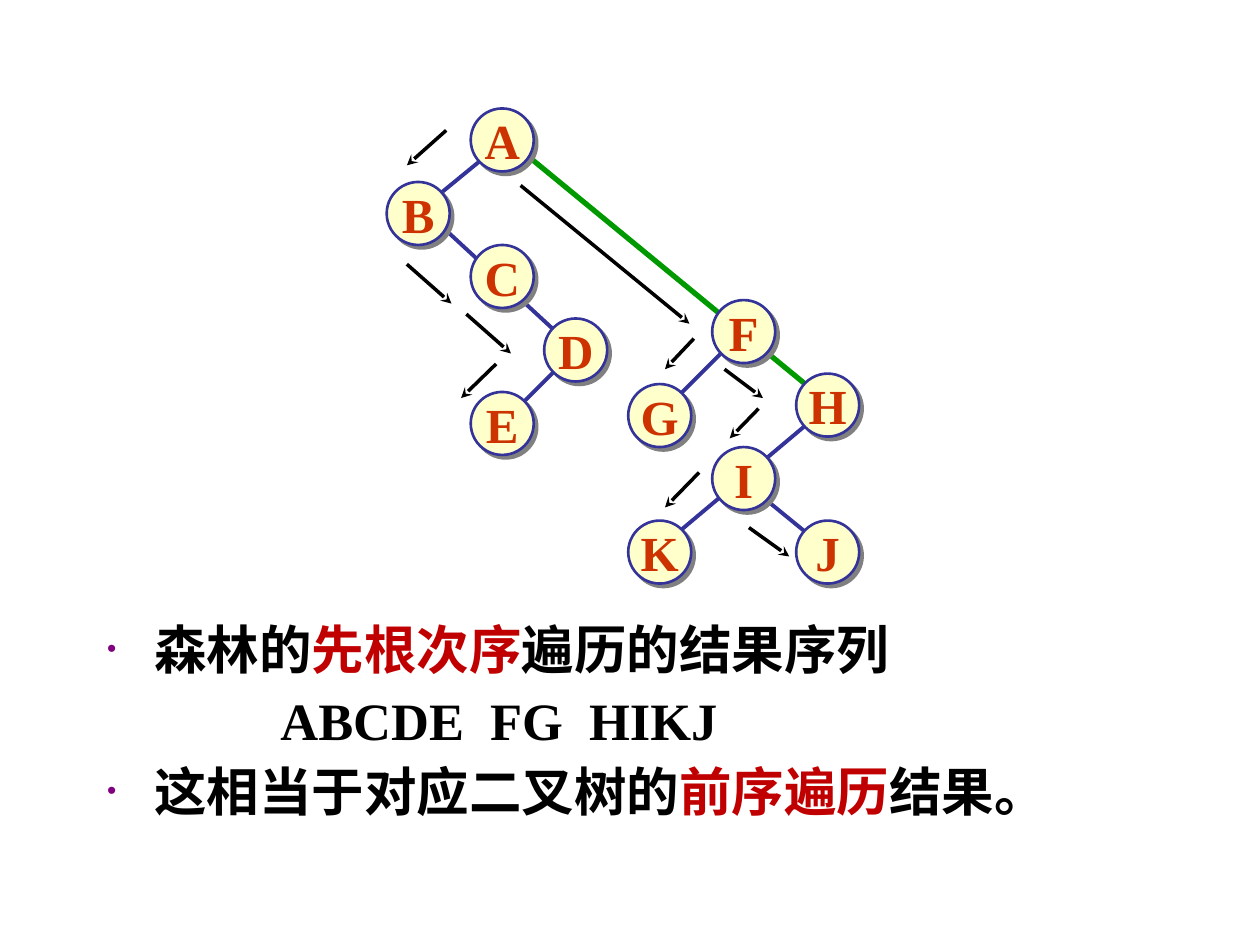
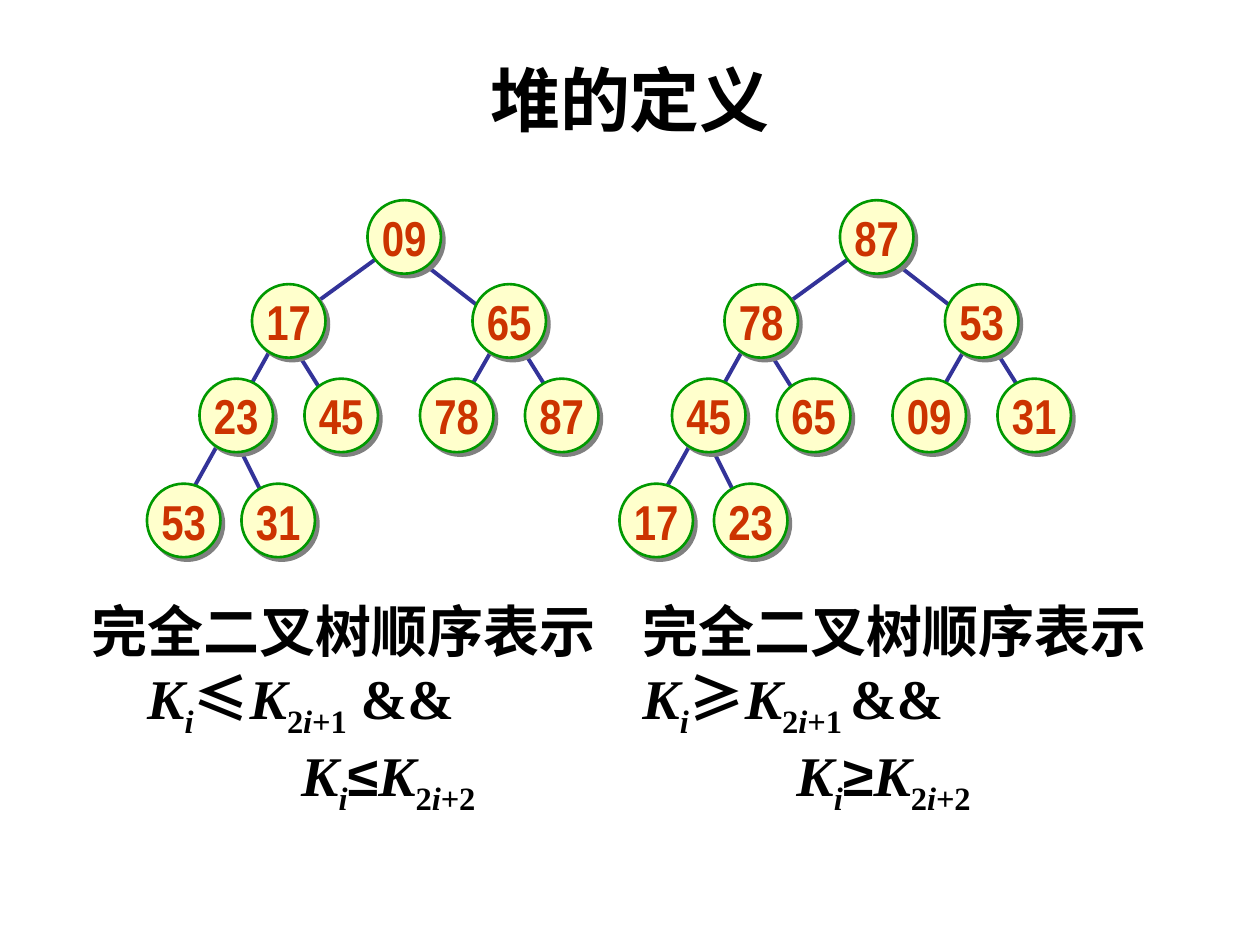
"""Build two slides on forest traversal and the definition of a heap."""
from lxml.etree import SubElement as Sub
from pptx import Presentation
from pptx.dml.color import RGBColor
from pptx.enum.shapes import MSO_CONNECTOR as Conn, MSO_SHAPE as Shape
from pptx.enum.text import MSO_ANCHOR as Anchor, MSO_AUTO_SIZE as Auto, PP_ALIGN as Align
from pptx.oxml.ns import qn
from pptx.util import Pt

rgb = RGBColor.from_string
BLACK, BLUE, GREEN = "000000", "333399", "009900"
CREAM, RUST, RED, GRAY, PLUM = "FFFFCC", "CC3300", "C00000", "808080", "800080"
SERIF, SANS, SLIM, CJK = "Times New Roman", "Arial", "Arial Narrow", "Noto Sans CJK SC"


def link(slide, ends, color=BLUE, width=2.25, head=False):
    """Draw a straight line, with an arrowhead if asked."""
    line = slide.shapes.add_connector(Conn.STRAIGHT, *map(Pt, ends))
    line.line.color.rgb = rgb(color)
    line.line.width = Pt(width)
    if head:
        Sub(line.line._get_or_add_ln(), qn("a:tailEnd"), type="stealth")
    Sub(line._element.spPr, qn("a:effectLst"))


def node(slide, x, y, size, text, font, edge):
    """Draw a labelled circle with a hard shadow."""
    dot = slide.shapes.add_shape(Shape.OVAL, Pt(x), Pt(y), Pt(size), Pt(size))
    dot.fill.solid()
    dot.fill.fore_color.rgb = rgb(CREAM)
    dot.line.color.rgb = rgb(edge)
    dot.line.width = Pt(1.5)
    dot.shadow.inherit = False
    shade = Sub(dot._element.spPr.find(qn("a:effectLst")), qn("a:outerShdw"),
                dist=str(Pt(2.8)), dir="2700000", algn="ctr", rotWithShape="0")
    Sub(shade, qn("a:srgbClr"), val=GRAY)
    frame = dot.text_frame
    frame.margin_left = frame.margin_right = frame.margin_top = frame.margin_bottom = 0
    frame.word_wrap = False
    frame.vertical_anchor = Anchor.MIDDLE
    para = frame.paragraphs[0]
    para.text = text
    para.alignment = Align.CENTER
    para.font.name, para.font.size, para.font.bold = font, Pt(28), True
    para.font.color.rgb = rgb(RUST)


prs = Presentation()
prs.slide_width, prs.slide_height = Pt(720), Pt(540)

slide = prs.slides.add_slide(prs.slide_layouts[1])
title, body = slide.placeholders
title._element.getparent().remove(title._element)
body.left, body.top, body.width, body.height = Pt(54), Pt(349), Pt(648), Pt(145)
frame = body.text_frame
frame.auto_size = Auto.NONE
notes = [
    [("森林的", BLACK), ("先根次序", RED), ("遍历的结果序列", BLACK)],
    [("ABCDE  FG  HIKJ", BLACK)],
    [("这相当于对应二叉树的", BLACK), ("前序遍历", RED), ("结果。", BLACK)],
]
for n, parts in enumerate(notes):
    para = frame.add_paragraph() if n else frame.paragraphs[0]
    para.space_before = Pt(4.5)
    para.font.name, para.font.size, para.font.bold = SERIF, Pt(30), True
    for text, color in parts:
        run = para.add_run()
        run.text = text
        run.font.color.rgb = rgb(color)
    props = para._p.get_or_add_pPr()
    if len(parts) > 1:
        props.set("marL", str(Pt(27)))
        props.set("indent", str(Pt(-27)))
        Sub(Sub(props, qn("a:buClr")), qn("a:srgbClr"), val=PLUM)
        Sub(props, qn("a:buSzPct"), val="50000")
        Sub(props, qn("a:buChar"), char="•")
    else:
        props.set("marL", str(Pt(99)))
        props.set("indent", "0")
        Sub(props, qn("a:buNone"))

link(slide, (299, 87, 467.5, 225.5), GREEN, 3)
for ends in [
    (323, 206, 293, 236), (245, 122.5, 323, 194.5), (281, 86.5, 245, 116),
    (437, 285, 467, 309.5), (467, 237.5, 389, 303), (419, 195, 383, 231),
]:
    link(slide, ends)
tree = {
    "A": (269, 62), "B": (221, 104), "C": (269, 140), "D": (311, 182), "E": (269, 224),
    "F": (407, 171.5), "G": (359, 219.5), "H": (455, 213.5),
    "I": (407, 255.5), "K": (359, 297.5), "J": (455, 297.5),
}
for name, (x, y) in tree.items():
    node(slide, x, y, 36, name, SERIF, BLUE)
for ends in [
    (255, 74.5, 232.5, 94.5), (232.5, 151, 258, 173.5), (266.5, 179.5, 292, 202),
    (283.5, 208, 263.5, 227.5), (297.5, 106, 394, 185), (396.5, 193.5, 380, 211),
    (414, 211, 436, 227.5), (433.5, 233.5, 417, 250.5), (399.5, 270, 380, 290),
    (428, 301.5, 451, 318),
]:
    link(slide, ends, BLACK, 2, True)

slide = prs.slides.add_slide(prs.slide_layouts[5])
title = slide.shapes.title
title.left, title.top, title.width, title.height = Pt(36), Pt(26.5), Pt(648), Pt(60)
title.text_frame.vertical_anchor = Anchor.MIDDLE
para = title.text_frame.paragraphs[0]
para.text = "堆的定义"
para.alignment = Align.CENTER
para.font.name, para.font.size, para.font.bold = SANS, Pt(40), True
para.font.color.rgb = rgb(BLACK)

edges = [
    (282, 198, 258, 240), (294, 192, 324, 240), (168, 198, 198, 246), (138, 258, 162, 306),
    (162, 186, 102, 294), (234, 144, 288, 186), (228, 138, 162, 186),
]
spots = [
    (210, 114), (144, 162), (270, 162), (114, 216), (174, 216),
    (240, 216), (300, 216), (84, 276), (138, 276),
]
heaps = [
    (0, "09 17 65 23 45 78 87 53 31"),
    (270, "87 78 53 45 65 09 31 17 23"),
]
for shift, keys in heaps:
    for x1, y1, x2, y2 in edges:
        link(slide, (x1 + shift, y1 + 0.4, x2 + shift, y2 + 0.4))
    for (x, y), key in zip(spots, keys.split()):
        node(slide, x + shift, y + 0.4, 42, key, SLIM, GREEN)

rules = [
    (45, "≤", 32, 120, "+1", " &&"),
    (360, "≥", 0, 88, "+1 ", "&&"),
]
for left, sign, near, far, sub, tail in rules:
    box = slide.shapes.add_textbox(Pt(left), Pt(337.5), Pt(306), Pt(122.5))
    frame = box.text_frame
    frame.word_wrap = True
    head = frame.paragraphs[0]
    head.text = "完全二叉树顺序表示"
    head.font.name = SANS
    for indent, face, sub, tail in [(near, CJK, sub, tail), (far, SANS, "+2", "")]:
        para = frame.add_paragraph()
        para.font.name = SERIF
        para._p.get_or_add_pPr().set("marL", str(Pt(indent)))
        for text, slant, low in [
            ("K", True, False), ("i", True, True), (sign, False, False), ("K", True, False),
            ("2", False, True), ("i", True, True), (sub, False, True), (tail, False, False),
        ]:
            if not text:
                continue
            run = para.add_run()
            run.text = text
            run.font.italic = slant
            run.font.name = face if text == sign else SERIF
            if low:
                run._r.get_or_add_rPr().set("baseline", "-25000")
            if text == sign:
                Sub(run._r.get_or_add_rPr(), qn("a:ea"), typeface=face)
    for para in frame.paragraphs:
        para.font.size, para.font.bold = Pt(32), True
        para.font.color.rgb = rgb(BLACK)

prs.save("out.pptx")
